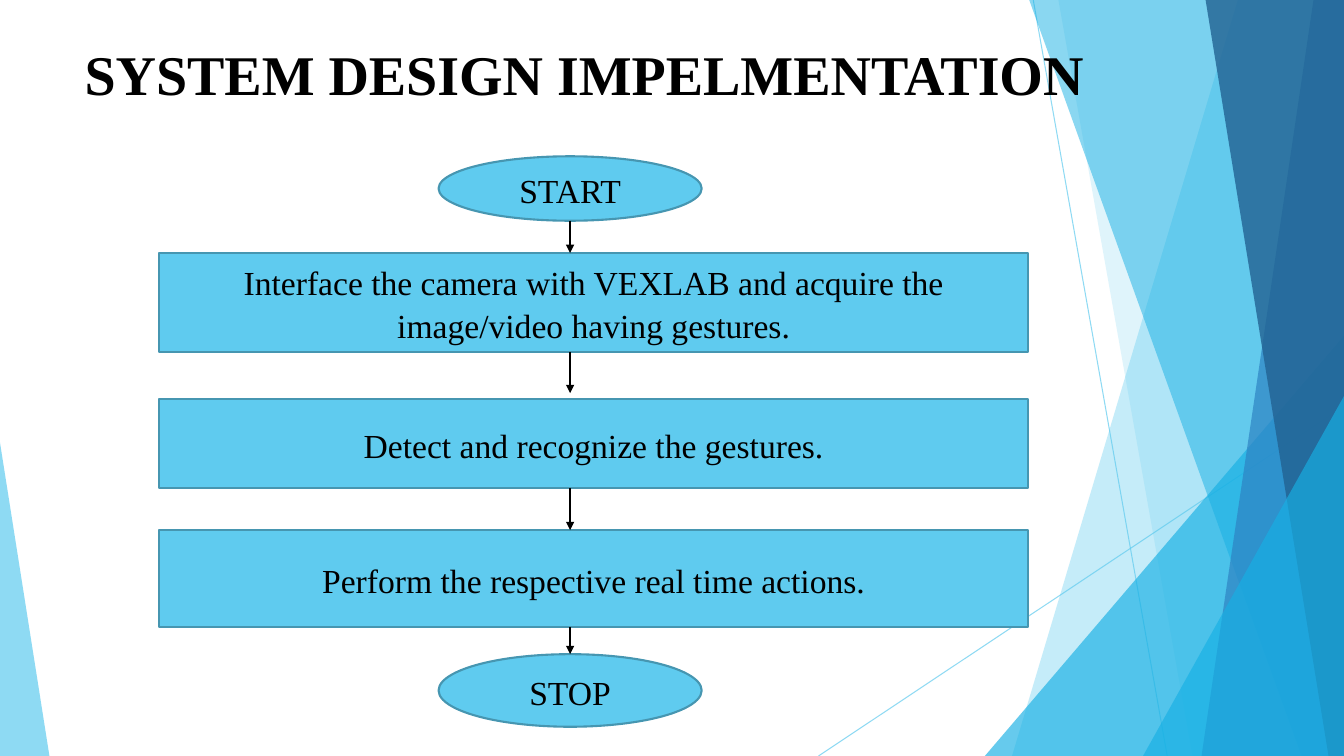
from pptx import Presentation
from pptx.dml.color import RGBColor
from pptx.enum.shapes import MSO_CONNECTOR, MSO_SHAPE
from pptx.enum.text import MSO_ANCHOR, PP_ALIGN
from pptx.oxml.ns import qn
from pptx.util import Inches, Pt
from lxml.etree import SubElement

WIDE, HIGH = Inches(13.33), Inches(7.5)
SKY = RGBColor(0x5F, 0xCB, 0xEF)
AQUA = RGBColor(0x17, 0xB0, 0xE4)
BLUE = RGBColor(0x2E, 0x83, 0xC3)
NAVY = RGBColor(0x22, 0x62, 0x92)
EDGE = RGBColor(0x46, 0x96, 0xB1)
BLACK = RGBColor(0, 0, 0)
FONT = "Times New Roman"
MID = 42.42
OVAL, BOX = MSO_SHAPE.OVAL, MSO_SHAPE.RECTANGLE
SPAN = {OVAL: (32.63, 19.58), BOX: (11.85, 64.65)}

RAYS = [(76.88, 0, 86.85, 100), (100, 53.73, 60.9, 100)]
BANDS = [
    (92.1, 75.3, SKY, 36),
    (78.75, 88.73, SKY, 20),
    (73.28, 44.4, 26.72, 1, AQUA, 66),
    (76.58, 96.83, AQUA, 50),
    (97.73, 89.4, BLUE, 70),
    (89.7, 98.85, NAVY, 80),
    (85.05, 52.4, 14.95, 1, AQUA, 66),
    (0, 58.53, 3.68, 0, SKY, 70),
]
STEPS = [
    (OVAL, 20.67, 8.53, "START"),
    (BOX, 33.47, 13.07, "Interface the camera with VEXLAB and acquire the "
                        "image/video having gestures."),
    (BOX, 52.8, 11.73, "Detect and recognize the gestures."),
    (BOX, 70.13, 12.8, "Perform the respective real time actions."),
    (OVAL, 86.53, 9.6, "STOP"),
]
TIPS = [33.47, 52, 70.13, 86.53]


def col(share):
    """Turn a percentage of the slide's width into a length."""
    return round(WIDE * share / 100)


def row(share):
    """Turn a percentage of the slide's height into a length."""
    return round(HIGH * share / 100)


def fade(item, share):
    """Set the opacity of the item's first colour, in percent."""
    tint = next(item._element.spPr.iter(qn("a:srgbClr")))
    SubElement(tint, qn("a:alpha")).set("val", str(share * 1000))


def paint(shape, fill, edge=None):
    """Give a shape a flat fill and an optional edge."""
    shape.shadow.inherit = False
    shape.fill.solid()
    shape.fill.fore_color.rgb = fill
    if edge is None:
        shape.line.fill.background()
    else:
        shape.line.color.rgb = edge
        shape.line.width = Pt(1.5)


def write(shape, text, size=24, bold=False, align=PP_ALIGN.CENTER,
          anchor=MSO_ANCHOR.MIDDLE, lead=1.07, after=8):
    """Put one formatted paragraph into a shape."""
    frame = shape.text_frame
    frame.word_wrap = True
    frame.vertical_anchor = anchor
    para = frame.paragraphs[0]
    para.alignment = align
    para.line_spacing = lead
    para.space_after = Pt(after)
    run = para.add_run()
    run.text = text
    run.font.name = FONT
    run.font.size = Pt(size)
    run.font.bold = bold
    run.font.color.rgb = BLACK


def rule(slide, left, top, right, base, tint, width):
    """Draw a straight line between two points."""
    line = slide.shapes.add_connector(
        MSO_CONNECTOR.STRAIGHT, col(left), row(top), col(right), row(base))
    line.line.color.rgb = tint
    line.line.width = Pt(width)
    SubElement(line._element.spPr, qn("a:effectLst"))
    return line


def arrow(slide, top, tip):
    """Draw a downward arrow on the flow's axis."""
    line = rule(slide, MID, top, MID, tip, BLACK, 1)
    SubElement(line.line._get_or_add_ln(), qn("a:tailEnd")).set("type", "triangle")
    return line


def band(slide, top, base, tint, share):
    """Draw a slanted band that reaches the right edge."""
    pen = slide.shapes.build_freeform(col(top), 0, scale=1.0)
    pen.add_line_segments(
        [(WIDE, 0), (WIDE, HIGH), (col(base), HIGH)], close=True)
    shape = pen.convert_to_shape()
    paint(shape, tint)
    fade(shape, share)


def wedge(slide, left, top, width, peak, tint, share):
    """Draw a right triangle that stands on the bottom edge."""
    shape = slide.shapes.add_shape(
        MSO_SHAPE.ISOSCELES_TRIANGLE, col(left), row(top), col(width),
        HIGH - row(top))
    shape.adjustments[0] = peak
    paint(shape, tint)
    fade(shape, share)


def step(slide, kind, top, height, text):
    """Draw one labelled step of the flow."""
    left, width = SPAN[kind]
    shape = slide.shapes.add_shape(
        kind, col(left), row(top), col(width), row(height))
    paint(shape, SKY, EDGE)
    write(shape, text)
    return shape


def main():
    """Build the slide and save it."""
    deck = Presentation()
    deck.slide_width, deck.slide_height = WIDE, HIGH
    slide = deck.slides.add_slide(deck.slide_layouts[6])
    for ray in RAYS:
        fade(rule(slide, *ray, SKY, 0.75), 70)
    for part in BANDS:
        draw = band if len(part) == 4 else wedge
        draw(slide, *part)
    title = slide.shapes.add_textbox(col(5.55), row(4.53), col(80.55), row(19.2))
    write(title, "SYSTEM DESIGN IMPELMENTATION", size=40, bold=True,
          align=PP_ALIGN.LEFT, anchor=MSO_ANCHOR.TOP, lead=1, after=0)
    shapes = [step(slide, *item) for item in STEPS]
    lines = [arrow(slide, top + height, tip)
             for (_, top, height, _), tip in zip(STEPS, TIPS)]
    lines[-1].end_connect(shapes[-1], 0)
    deck.save("out.pptx")


if __name__ == "__main__":
    main()
